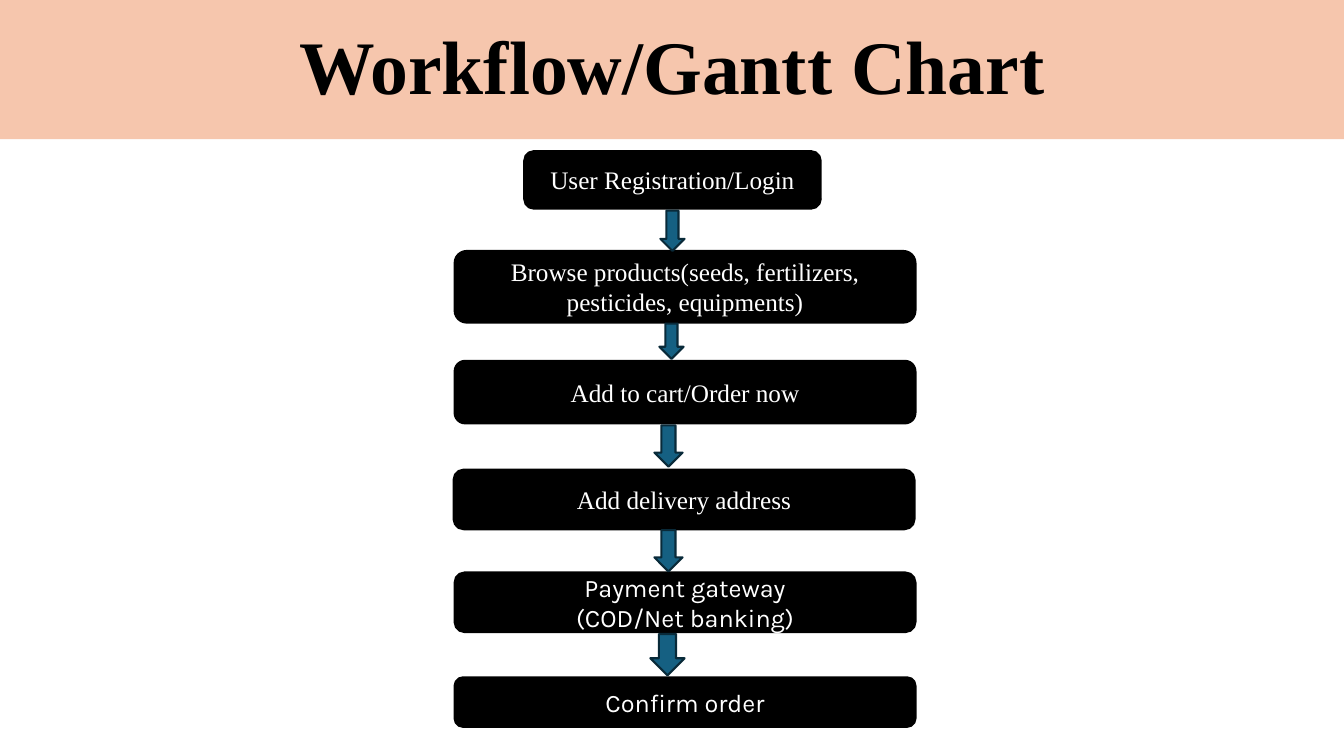
import dataclasses

import pptx
import pptx.dml.color
import pptx.enum.shapes
import pptx.enum.text
import pptx.presentation
import pptx.shapes.autoshape
import pptx.slide
import pptx.util

Inches = pptx.util.Inches
Kind = pptx.enum.shapes.MSO_SHAPE

COLORS = {
    "banner": "F6C6AD",
    "step": "000000",
    "step_text": "FFFFFF",
    "title_text": "000000",
    "arrow": "156082",
    "arrow_edge": "092A39",
}
SERIF = "Times New Roman"
SANS = "Karla"


@dataclasses.dataclass(frozen=True)
class Step:
    text: str
    top: float
    height: float
    left: float = 4.51
    width: float = 4.57
    font: str = SERIF


@dataclasses.dataclass(frozen=True)
class Arrow:
    left: float
    top: float
    width: float
    height: float = 0.41


STEPS = [
    Step("User Registration/Login", 1.5, 0.57, left=5.2, width=2.94),
    Step("Browse products(seeds, fertilizers, pesticides, equipments)", 2.49, 0.71),
    Step("Add to cart/Order now", 3.58, 0.62),
    Step("Add delivery address", 4.66, 0.59, left=4.5),
    Step("Payment gateway\n(COD/Net banking)", 5.68, 0.59, font=SANS),
    Step("Confirm order", 6.72, 0.49, font=SANS),
]
ARROWS = [
    Arrow(6.55, 2.09, 0.24, 0.4),
    Arrow(6.54, 3.21, 0.24, 0.35),
    Arrow(6.49, 4.22, 0.28),
    Arrow(6.49, 5.26, 0.28),
    Arrow(6.45, 6.29, 0.34),
]


def rgb(name: str) -> pptx.dml.color.RGBColor:
    return pptx.dml.color.RGBColor.from_string(COLORS[name])


def add_box(
    page: pptx.slide.Slide,
    kind: Kind,
    left: float,
    top: float,
    width: float,
    height: float,
    fill: str,
    edge: str | None = None,
) -> pptx.shapes.autoshape.Shape:
    """Add a flat shape; without an edge colour it has no outline."""
    box = page.shapes.add_shape(
        kind, Inches(left), Inches(top), Inches(width), Inches(height)
    )
    box.shadow.inherit = False
    box.fill.solid()
    box.fill.fore_color.rgb = rgb(fill)
    if edge is None:
        box.line.fill.background()
    else:
        box.line.color.rgb = rgb(edge)
        box.line.width = pptx.util.Pt(1.5)
    return box


def write(
    box: pptx.shapes.autoshape.Shape,
    text: str,
    font: str,
    size: int,
    color: str,
    bold: bool = False,
    line_spacing: float = 1.0,
) -> None:
    frame = box.text_frame
    frame.text = text
    frame.word_wrap = True
    frame.vertical_anchor = pptx.enum.text.MSO_ANCHOR.MIDDLE
    for para in frame.paragraphs:
        para.alignment = pptx.enum.text.PP_ALIGN.CENTER
        para.line_spacing = line_spacing
        for span in para.runs:
            span.font.name = font
            span.font.size = pptx.util.Pt(size)
            span.font.bold = bold
            span.font.color.rgb = rgb(color)


def add_title(page: pptx.slide.Slide) -> None:
    banner = add_box(page, Kind.RECTANGLE, 0, 0, 13.33, 1.38, "banner")
    write(banner, "Workflow/Gantt Chart", SERIF, 54, "title_text", True, 0.9)


def add_step(page: pptx.slide.Slide, step: Step) -> None:
    box = add_box(
        page, Kind.ROUNDED_RECTANGLE,
        step.left, step.top, step.width, step.height, "step", "step",
    )
    write(box, step.text, step.font, 18, "step_text")


def add_arrow(page: pptx.slide.Slide, arrow: Arrow) -> None:
    add_box(
        page, Kind.DOWN_ARROW,
        arrow.left, arrow.top, arrow.width, arrow.height, "arrow", "arrow_edge",
    )


def main() -> None:
    deck = pptx.Presentation()
    deck.slide_width = Inches(13.33)
    deck.slide_height = Inches(7.5)
    page = deck.slides.add_slide(deck.slide_layouts[6])
    add_title(page)
    for step in STEPS:
        add_step(page, step)
    for arrow in ARROWS:
        add_arrow(page, arrow)
    deck.save("out.pptx")


if __name__ == "__main__":
    main()
